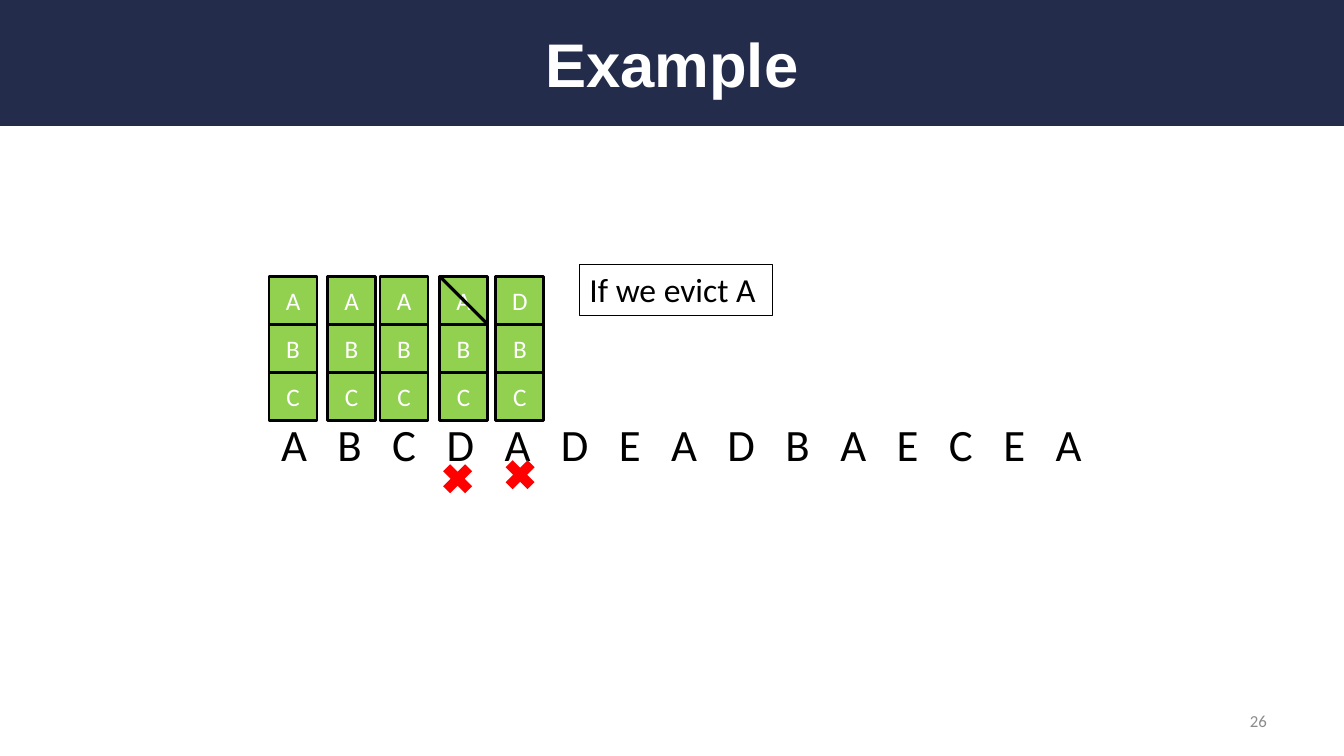
"""Build a slide showing cache contents while serving a request sequence."""
import pptx
import pptx.dml.color
import pptx.enum.shapes
import pptx.enum.text
import pptx.oxml
import pptx.oxml.ns
import pptx.util

Pt = pptx.util.Pt
RGBColor = pptx.dml.color.RGBColor
Shape = pptx.enum.shapes.MSO_SHAPE
Align = pptx.enum.text.PP_ALIGN
Anchor = pptx.enum.text.MSO_ANCHOR

TITLE = "Example"
NOTE = "If we evict A"
PAGE_NUMBER = "26"
REQUESTS = "ABCDADEADBAECEA"
CACHE_STATES = [(192.2, "ABC"), (234, "ABC"), (271.5, "ABC"), (314, "ABC"), (354.2, "DBC")]
MISSES = [(311.8, 326.9), (356.4, 324)]
EVICTED_STATE = 3

CACHE_TOP = 197.3
CELL = 34.3
MISS_SIZE = 30.2
REQUEST_GAP = 14.46

NAVY = RGBColor(0x23, 0x2D, 0x4B)
GREEN = RGBColor(0x92, 0xD0, 0x50)
RED = RGBColor(0xFF, 0x00, 0x00)
BLACK = RGBColor(0x00, 0x00, 0x00)
WHITE = RGBColor(0xFF, 0xFF, 0xFF)
GRAY = RGBColor(0x8C, 0x8C, 0x8C)


def write_text(shape, text, size, color=BLACK, font="Calibri", bold=False,
               align=Align.LEFT, anchor=Anchor.MIDDLE, wrap=True, space_extra=0):
    """Write one paragraph, optionally widening the spaces between its words."""
    frame = shape.text_frame
    frame.word_wrap = wrap
    frame.vertical_anchor = anchor
    paragraph = frame.paragraphs[0]
    paragraph.alignment = align
    if space_extra:
        pieces = list(text)
    else:
        pieces = [text]
    for piece in pieces:
        run = paragraph.add_run()
        run.text = piece
        run.font.name = font
        run.font.size = Pt(size)
        run.font.bold = bold
        run.font.color.rgb = color
        if piece == " ":
            run._r.get_or_add_rPr().set("spc", str(round(space_extra * 100)))


def add_box(shapes, kind, left, top, width, height, fill=None, line_width=0):
    """Add a preset shape with an optional fill and black outline."""
    shape = shapes.add_shape(kind, Pt(left), Pt(top), Pt(width), Pt(height))
    shape.shadow.inherit = False
    if fill is None:
        shape.fill.background()
    else:
        shape.fill.solid()
        shape.fill.fore_color.rgb = fill
    if line_width:
        shape.line.color.rgb = BLACK
        shape.line.width = Pt(line_width)
    else:
        shape.line.fill.background()
    return shape


def add_textbox(slide, left, top, width, height):
    """Add an empty text box."""
    return slide.shapes.add_textbox(Pt(left), Pt(top), Pt(width), Pt(height))


def add_cache(slide, left, pages):
    """Stack one cell per cached page."""
    group = slide.shapes.add_group_shape()
    for row, page in enumerate(pages):
        cell = add_box(group.shapes, Shape.RECTANGLE, left, CACHE_TOP + row * CELL,
                       CELL, CELL, fill=GREEN, line_width=2)
        write_text(cell, page, 18, color=WHITE, align=Align.CENTER)


def add_strike(slide, left):
    """Cross out the top cell of a cache."""
    strike = slide.shapes.add_connector(
        pptx.enum.shapes.MSO_CONNECTOR.STRAIGHT, Pt(left), Pt(CACHE_TOP),
        Pt(left + CELL), Pt(CACHE_TOP + CELL))
    strike.line.color.rgb = BLACK
    strike.line.width = Pt(2.25)
    properties = strike._element.spPr
    properties.append(pptx.oxml.parse_xml(
        "<a:effectLst %s/>" % pptx.oxml.ns.nsdecls("a")))


def main():
    """Assemble and save the slide."""
    presentation = pptx.Presentation()
    presentation.slide_width = Pt(960)
    presentation.slide_height = Pt(540)
    slide = presentation.slides.add_slide(presentation.slide_layouts[6])

    add_box(slide.shapes, Shape.RECTANGLE, 0, 0, 960, 90, fill=NAVY)
    write_text(add_textbox(slide, 48, 12, 864, 66), TITLE, 44, color=WHITE,
               font="Arial", bold=True, align=Align.CENTER)
    write_text(add_textbox(slide, 688, 500.5, 224, 28.8), PAGE_NUMBER, 12,
               color=GRAY, align=Align.RIGHT)
    write_text(add_textbox(slide, 193.7, 293.8, 592.6, 46), " ".join(REQUESTS), 32,
               anchor=Anchor.TOP, wrap=False, space_extra=REQUEST_GAP)

    for left, top in MISSES:
        add_box(slide.shapes, Shape.MATH_MULTIPLY, left, top, MISS_SIZE, MISS_SIZE, fill=RED)
    note = add_box(slide.shapes, Shape.RECTANGLE, 414, 188.8, 138, 36.4, line_width=0.75)
    write_text(note, NOTE, 24, anchor=Anchor.TOP)

    for left, pages in CACHE_STATES:
        add_cache(slide, left, pages)
    add_strike(slide, CACHE_STATES[EVICTED_STATE][0])

    presentation.save("out.pptx")


if __name__ == "__main__":
    main()
